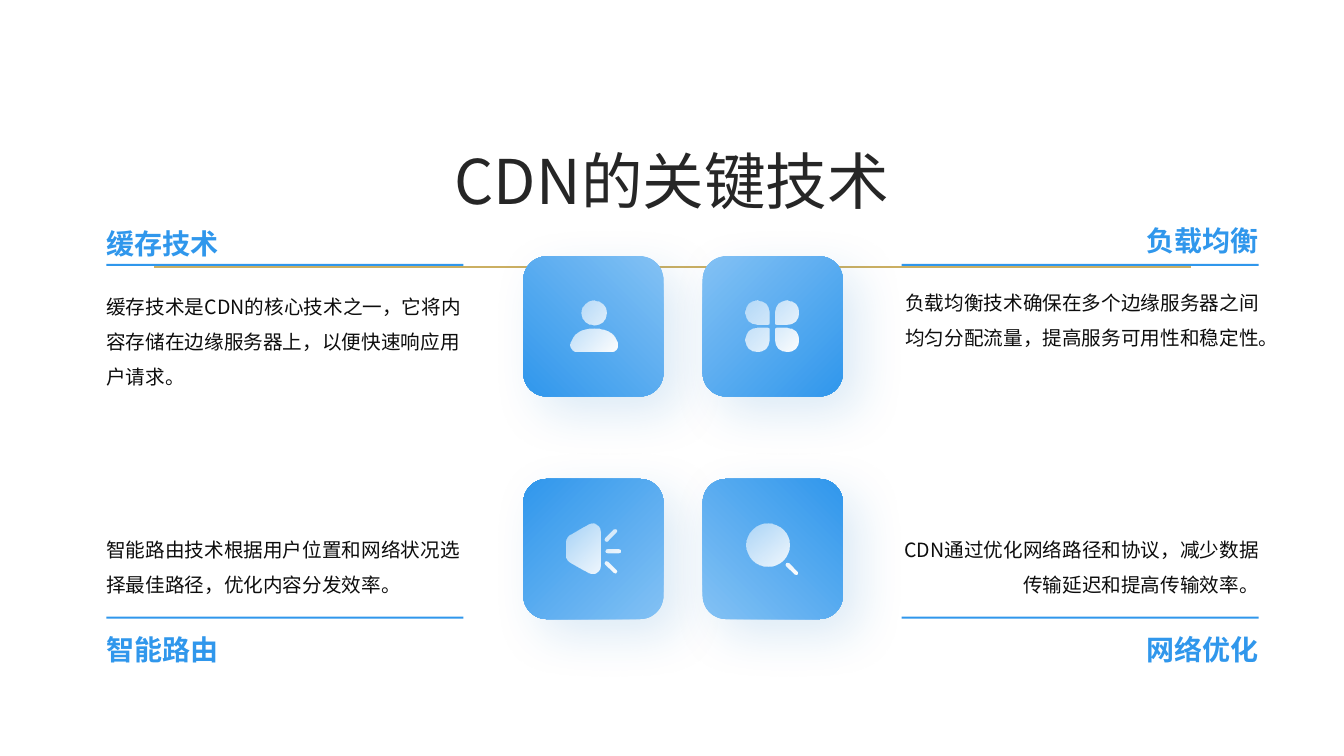
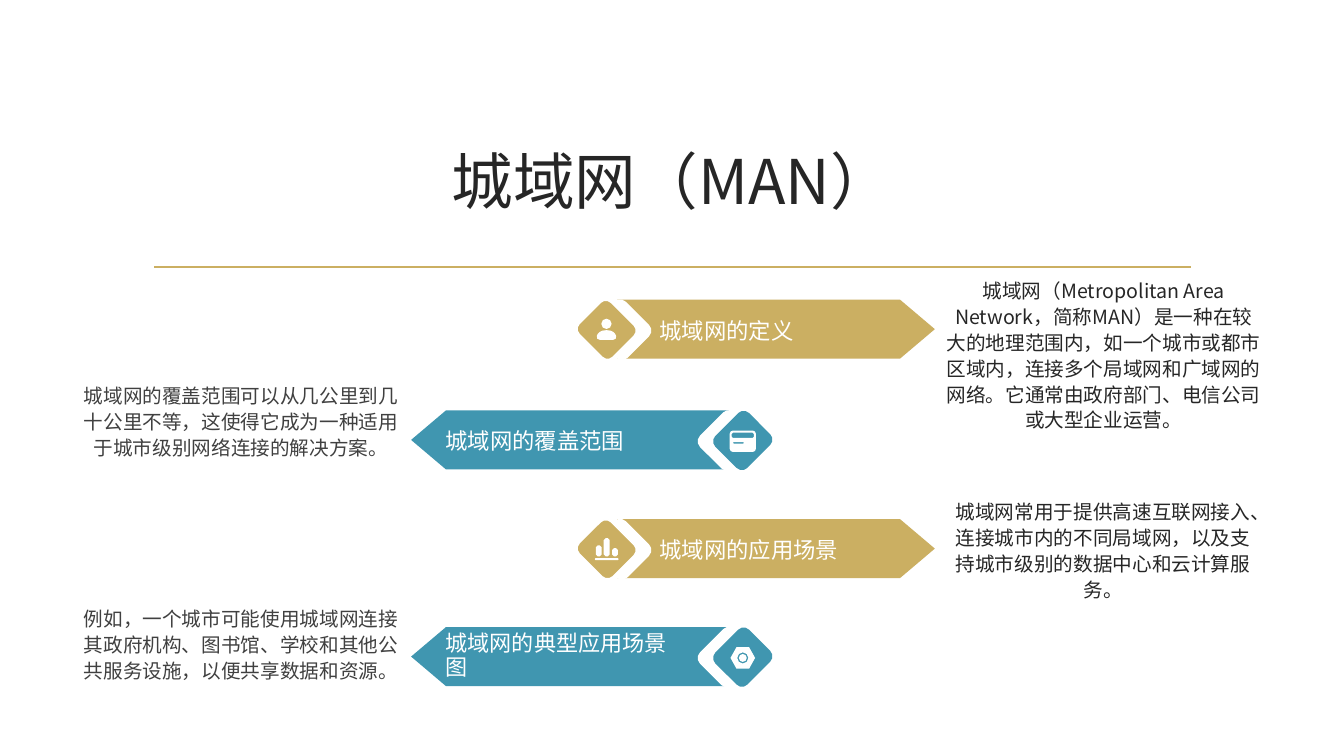
from lxml import etree
from pptx import Presentation
from pptx import util as u
from pptx.dml.color import RGBColor
from pptx.enum import shapes, text
from pptx.oxml.ns import qn

FONT = "Noto Sans CJK SC"
COLORS = {
    "white": "FFFFFF", "title": "262626", "body": "0D0D0D", "gray": "404040",
    "gold": "CBAF62", "teal": "4096B0", "blue": "3097EC", "sky": "83C1F4",
    "shadow": "1273C3",
}
LEFT, CENTER, RIGHT = text.PP_ALIGN.LEFT, text.PP_ALIGN.CENTER, text.PP_ALIGN.RIGHT
TOP, MIDDLE, BOTTOM = text.MSO_ANCHOR.TOP, text.MSO_ANCHOR.MIDDLE, text.MSO_ANCHOR.BOTTOM
INSETS = (0.25, 0.13, 0.25, 0.13)
NO_INSETS = (0, 0, 0, 0)
ARC = 0.45
DIAGONAL = 0.71


def rgb(color):
    return RGBColor.from_string(COLORS[color])


def box_lengths(box):
    return [u.Cm(value) for value in box]


def add_text(slide, box, words, size, color, align=LEFT, anchor=TOP, bold=False,
             spacing=1.0, insets=NO_INSETS):
    shape = slide.shapes.add_textbox(*box_lengths(box))
    frame = shape.text_frame
    frame.word_wrap = True
    frame.vertical_anchor = anchor
    (frame.margin_left, frame.margin_top,
     frame.margin_right, frame.margin_bottom) = box_lengths(insets)
    frame.text = words
    paragraph = frame.paragraphs[0]
    paragraph.alignment = align
    paragraph.line_spacing = spacing
    for run in paragraph.runs:
        run.font.size = u.Pt(size)
        run.font.bold = bold
        run.font.color.rgb = rgb(color)
        run.font.name = FONT
        etree.SubElement(run._r.get_or_add_rPr(), qn("a:ea"), typeface=FONT)


def set_gradient(shape, colors, angle, end_alpha=100):
    shape.fill.gradient()
    shape.fill.gradient_angle = angle
    for stop, color, position in zip(shape.fill.gradient_stops, colors, (0, 1)):
        stop.color.rgb = rgb(color)
        stop.position = position
    if end_alpha < 100:
        end_color = list(shape._element.spPr.iter(qn("a:srgbClr")))[-1]
        etree.SubElement(end_color, qn("a:alpha"), val=str(end_alpha * 1000))


def add_shape(slide, preset, box, color, outline=None, rotation=0):
    shape = slide.shapes.add_shape(preset, *box_lengths(box))
    shape.rotation = rotation
    shape.fill.solid()
    shape.fill.fore_color.rgb = rgb(color)
    if outline:
        shape.line.color.rgb = rgb(outline)
        shape.line.width = u.Pt(1)
    else:
        shape.line.fill.background()
    shape.shadow.inherit = False
    return shape


def add_soft_shadow(shape):
    effects = shape._element.spPr.find(qn("a:effectLst"))
    shadow = etree.SubElement(
        effects, qn("a:outerShdw"), blurRad=str(u.Pt(35)), dist=str(u.Pt(16)),
        dir=str(45 * 60000), algn="tl", rotWithShape="0")
    color = etree.SubElement(shadow, qn("a:srgbClr"), val=COLORS["shadow"])
    etree.SubElement(color, qn("a:alpha"), val="15000")


def rounded(x, y, width, height, radii, axis=(1, 0)):
    if not isinstance(radii, tuple):
        radii = (radii,) * 4
    across, down = axis

    def place(dx, dy):
        return x + dx * across - dy * down, y + dx * down + dy * across

    outline = []
    for index, radius in enumerate(radii):
        side_x, side_y = ((-1, -1), (1, -1), (1, 1), (-1, 1))[index]
        corner_x, corner_y = side_x * width / 2, side_y * height / 2
        along_x = (corner_x - side_x * radius, corner_y)
        along_y = (corner_x, corner_y - side_y * radius)
        control_x = (corner_x - side_x * radius * ARC, corner_y)
        control_y = (corner_x, corner_y - side_y * radius * ARC)
        points = [along_y, control_y, control_x, along_x]
        if index % 2:
            points.reverse()
        entry, *curve = [place(*point) for point in points]
        if not outline or max(abs(a - b) for a, b in zip(entry, outline[-1][-2:])) > 0.01:
            outline.append(entry)
        outline.append(sum(curve, ()))
    return outline


def circle(x, y, radius):
    return rounded(x, y, 2 * radius, 2 * radius, radius)


def person():
    body = [(0.58, 0.69), (0.97, 0.69, 1.11, 0.87, 1.16, 1.04),
            (1.2, 1.17, 1.11, 1.27, 0.99, 1.27), (0.18, 1.27),
            (0.05, 1.27, -0.03, 1.17, 0, 1.04), (0.05, 0.87, 0.2, 0.69, 0.58, 0.69)]
    return [body, circle(0.58, 0.31, 0.31)]


def clover():
    return [rounded(0.3 + 0.73 * column, 0.3 + 0.67 * row, 0.6, 0.6,
                    tuple(0.04 if corner == inner else 0.29 for corner in range(4)))
            for column, row, inner in ((0, 0, 2), (1, 0, 3), (1, 1, 0), (0, 1, 1))]


def speaker():
    horn = [(0.56, 0.03), (0.7, -0.05, 0.86, 0.05, 0.86, 0.23), (0.86, 1.05),
            (0.86, 1.22, 0.7, 1.32, 0.56, 1.25), (0.13, 1), (0.05, 0.96, 0, 0.9, 0, 0.83),
            (0, 0.45), (0, 0.38, 0.05, 0.31, 0.13, 0.28)]
    rays = [rounded(x, y, 0.4, 0.1, 0.05, axis)
            for x, y, axis in ((1.11, 0.3, (DIAGONAL, -DIAGONAL)), (1.17, 0.7, (1, 0)),
                               (1.11, 1.1, (DIAGONAL, DIAGONAL)))]
    return rays + [horn]


def magnifier():
    return [rounded(1.13, 1.13, 0.4, 0.1, 0.05, (DIAGONAL, DIAGONAL)),
            circle(0.54, 0.54, 0.54)]


def card():
    return [rounded(0.22, 0.31, 0.28, 0.04, 0.02), rounded(0.33, 0.12, 0.56, 0.13, 0.03),
            rounded(0.33, 0.27, 0.66, 0.54, 0.08)]


def bars():
    columns = [rounded(x, 0.46 - height / 2, 0.15, height, 0.05)
               for x, height in ((0.1, 0.28), (0.3, 0.46), (0.51, 0.21))]
    return [rounded(0.3, 0.53, 0.6, 0.05, 0.02)] + columns


def nut():
    hexagon = [(0.15, 0), (0.47, 0), (0.62, 0.27), (0.47, 0.54), (0.15, 0.54), (0, 0.27)]
    return [circle(0.31, 0.27, 0.1), circle(0.31, 0.27, 0.14), hexagon]


def bend_segments(shape, segments):
    lines = iter(list(shape._element.spPr.iter(qn("a:lnTo"))))
    for segment in segments:
        first = next(lines)
        if len(segment) == 6:
            first.tag = qn("a:cubicBezTo")
            for _ in range(2):
                follower = next(lines)
                first.append(follower[0])
                follower.getparent().remove(follower)


def add_icon(slide, left, top, outlines, scale=1, faded=False):
    def place(segment):
        return [(u.Cm(left + scale * x), u.Cm(top + scale * y))
                for x, y in zip(segment[0::2], segment[1::2])]

    builder = slide.shapes.build_freeform(*place(outlines[0][0])[0])
    for index, outline in enumerate(outlines):
        if index:
            builder.move_to(*place(outline[0])[0])
        builder.add_line_segments(
            [point for segment in outline[1:] for point in place(segment)], close=True)
    shape = builder.convert_to_shape()
    bend_segments(shape, [segment for outline in outlines for segment in outline[1:]])
    if faded:
        set_gradient(shape, ("white", "white"), 135, end_alpha=50)
    else:
        shape.fill.solid()
        shape.fill.fore_color.rgb = rgb("white")
    shape.line.fill.background()
    shape.shadow.inherit = False


def add_titled_slide(presentation, title):
    slide = presentation.slides.add_slide(presentation.slide_layouts[6])
    rule = slide.shapes.add_connector(
        shapes.MSO_CONNECTOR.STRAIGHT, u.Cm(3.89), u.Cm(6.73), u.Cm(30.01), u.Cm(6.73))
    rule.line.color.rgb = rgb("gold")
    rule.line.width = u.Pt(1.25)
    etree.SubElement(rule._element.spPr, qn("a:effectLst"))
    add_text(slide, (3.6, 2.72, 26.67, 3.63), title, 44, "title", CENTER, MIDDLE,
             insets=INSETS)
    return slide


def add_tile(slide, column, row):
    box = (13.19 + 4.52 * column, 6.46 + 5.61 * row, 3.53, 3.53)
    tile = add_shape(slide, shapes.MSO_SHAPE.ROUNDED_RECTANGLE, box, "blue")
    angles = {(0, 0): 225, (1, 0): 315, (0, 1): 135, (1, 1): 45}
    set_gradient(tile, ("sky", "blue"), angles[column, row])
    add_soft_shadow(tile)


def add_technique(slide, column, row, heading, heading_top, body, body_top, body_height):
    left, align = ((2.68, LEFT), (22.69, RIGHT))[column]
    add_text(slide, (left, heading_top, 9.04, 0.76), heading, 20, "blue", align, bold=True)
    add_text(slide, (left, body_top, 9.04, body_height), body, 14, "body", align,
             (TOP, BOTTOM)[row], spacing=1.5)
    add_shape(slide, shapes.MSO_SHAPE.RECTANGLE,
              (left + 0.03 * column, (6.65, 15.54)[row], 9, 0.05), "blue")


def add_banner(slide, top, points_right, label, size=16, spacing=1.1):
    if points_right:
        color, arrow_left, label_left, diamonds, outline = (
            "gold", 15.56, 16.62, (15.08, 14.72), "white")
    else:
        color, arrow_left, label_left, diamonds, outline = (
            "teal", 10.36, 11.23, (17.78, 18.15), None)
    arrow = add_shape(slide, shapes.MSO_SHAPE.PENTAGON, (arrow_left, top, 8, 1.49), color,
                      rotation=0 if points_right else 180)
    arrow.adjustments[0] = 0.59
    for left, fill, edge in zip(diamonds, ("white", color), ("white", outline)):
        add_shape(slide, shapes.MSO_SHAPE.ROUNDED_RECTANGLE, (left, top + 0.16, 1.14, 1.2),
                  fill, edge, 315 if points_right else 45)
    add_text(slide, (label_left, top + 0.23, 6.1, 1.02), label, size, "white",
             anchor=MIDDLE, spacing=spacing)


def add_description(slide, on_right, top, width, height, words):
    left, color = (23.6, "title") if on_right else (1.86, "gray")
    add_text(slide, (left, top, width, height), words, 14, color, CENTER, spacing=1.1,
             insets=INSETS)


def build_techniques(presentation):
    slide = add_titled_slide(presentation, "CDN的关键技术")
    techniques = (
        (0, 0, "缓存技术", 5.72,
         "缓存技术是CDN的核心技术之一，它将内容存储在边缘服务器上，以便快速响应用户请求。", 7.13, 3.89),
        (0, 1, "智能路由", 15.93,
         "智能路由技术根据用户位置和网络状况选择最佳路径，优化内容分发效率。", 11.33, 3.71),
        (1, 0, "负载均衡", 5.63,
         "负载均衡技术确保在多个边缘服务器之间均匀分配流量，提高服务可用性和稳定性。", 7.04, 3.96),
        (1, 1, "网络优化", 15.93,
         "CDN通过优化网络路径和协议，减少数据传输延迟和提高传输效率。", 11.33, 3.71),
    )
    for column, row, *_ in techniques:
        add_tile(slide, column, row)
    for technique in techniques:
        add_technique(slide, *technique)
    for left, top, outlines in ((14.38, 7.58, person()), (18.8, 7.58, clover()),
                                (14.27, 13.19, speaker()), (18.82, 13.19, magnifier())):
        add_icon(slide, left, top, outlines, faded=True)


def build_man(presentation):
    slide = add_titled_slide(presentation, "城域网（MAN）")
    descriptions = (
        (True, 6.84, 8.43, 4.72,
         "城域网（Metropolitan Area Network，简称MAN）是一种在较大的地理范围内，如一个城市或都市区域内，"
         "连接多个局域网和广域网的网络。它通常由政府部门、电信公司或大型企业运营。"),
        (True, 12.42, 8.4, 5.44,
         "城域网常用于提供高速互联网接入、连接城市内的不同局域网，以及支持城市级别的数据中心和云计算服务。"),
        (False, 15.11, 8.43, 4.37,
         "例如，一个城市可能使用城域网连接其政府机构、图书馆、学校和其他公共服务设施，以便共享数据和资源。"),
        (False, 9.49, 8.43, 4.85,
         "城域网的覆盖范围可以从几公里到几十公里不等，这使得它成为一种适用于城市级别网络连接的解决方案。"),
    )
    for description in descriptions:
        add_description(slide, *description)
    add_banner(slide, 7.55, True, "城域网的定义")
    add_banner(slide, 10.34, False, "城域网的覆盖范围")
    add_banner(slide, 13.08, True, "城域网的应用场景")
    add_banner(slide, 15.8, False, "城域网的典型应用场景图", 15.8, 0.9)
    add_icon(slide, 15.04, 8.03, person(), scale=0.42)
    add_icon(slide, 18.39, 10.85, card())
    add_icon(slide, 14.99, 13.56, bars())
    add_icon(slide, 18.41, 16.31, nut())


def main():
    presentation = Presentation()
    presentation.slide_width = u.Cm(33.87)
    presentation.slide_height = u.Cm(19.05)
    build_techniques(presentation)
    build_man(presentation)
    presentation.save("out.pptx")


if __name__ == "__main__":
    main()
